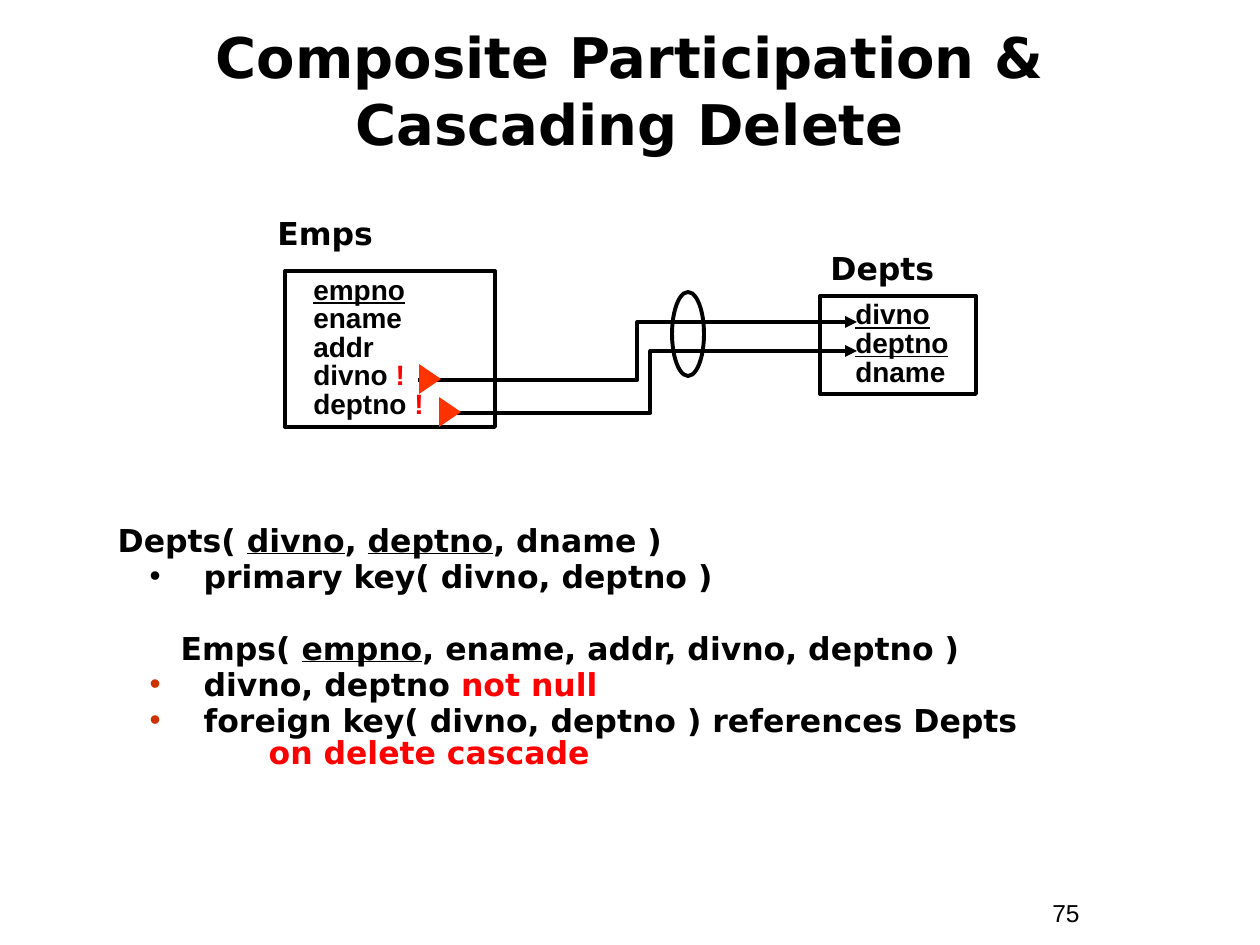
from copy import deepcopy

from lxml.etree import SubElement
from pptx import Presentation
from pptx.dml.color import RGBColor
from pptx.enum.shapes import MSO_CONNECTOR, MSO_SHAPE as SHAPE
from pptx.enum.text import MSO_ANCHOR as ANCHOR, MSO_AUTO_SIZE, PP_ALIGN as ALIGN
from pptx.oxml.ns import qn
from pptx.util import Pt

PX = 914400 / 126
BLACK = RGBColor(0, 0, 0)
RED = RGBColor(0xFF, 0, 0)
RUST = RGBColor(0xCC, 0x33, 0)
ORANGE = RGBColor(0xFF, 0x33, 0)
SANS, ARIAL = "DejaVu Sans", "Arial"

KEY = {"underline": True}
ALERT = {"color": RED}

TITLE = "Composite Participation &\vCascading Delete"
PAGE_NUMBER = "75"

# name, name box, table box, text indent, rows of (text, style) runs
TABLES = [
    ("Emps", (265, 208, 271, 50), (285, 271, 210, 156), 16,
     [[("empno", KEY)], [("ename", {})], [("addr", {})],
      [("divno ", {}), ("!", ALERT)], [("deptno ", {}), ("!", ALERT)]]),
    ("Depts", (818, 243, 166, 50), (820, 296, 156, 98), 23,
     [[("divno", KEY)], [("deptno", KEY)], [("dname", {})]]),
]

# foreign key start, end, corner of the triangle that marks the start
LINKS = [
    ((418, 380), (857, 322), (415, 368)),
    ((444, 413), (857, 351), (435, 401)),
]
TRIANGLE_SIZE = (30, 22)
GROUP_OVAL = (672, 292, 32, 84)

BULLET = {"margin": 86, "hang": 54}
# runs, paragraph layout
SCHEMA = [
    ([("Depts( ", {}), ("divno", KEY), (", ", {}), ("deptno", KEY),
      (", dname )", {})], {"before": 0}),
    ([("primary key( divno, deptno )", {})], {**BULLET, "bullet": BLACK}),
    ([("Emps( ", {}), ("empno", KEY),
      (", ename, addr, divno, deptno )", {})], {"margin": 63, "before": 23}),
    ([("divno, deptno ", {}), ("not null", ALERT)], {**BULLET, "bullet": RUST}),
    ([("foreign key( divno, deptno ) references Depts", {})],
     {**BULLET, "bullet": RUST}),
    ([("on delete cascade", ALERT)], {"margin": 151, "before": 0}),
]


def px(*lengths):
    return [round(length * PX) for length in lengths]


def place(shape, box):
    shape.left, shape.top, shape.width, shape.height = px(*box)


def style_font(font, name, size, bold=True, underline=False, color=BLACK):
    values = {"name": name, "size": Pt(size), "bold": bold, "underline": underline}
    for key, value in values.items():
        setattr(font, key, value)
    font.color.rgb = color


def set_frame(frame, anchor=ANCHOR.TOP):
    values = {"word_wrap": True, "auto_size": MSO_AUTO_SIZE.NONE,
              "vertical_anchor": anchor}
    for key, value in values.items():
        setattr(frame, key, value)


def lay_out(paragraph, margin=0, hang=0, before=2.2, bullet=None):
    """Set indents, spacing and the bullet, whose value is its colour."""
    properties = paragraph._p.get_or_add_pPr()
    properties.set("marL", str(px(margin)[0]))
    properties.set("indent", str(-px(hang)[0]))
    if bullet is None:
        SubElement(properties, qn("a:buNone"))
    else:
        color = SubElement(properties, qn("a:buClr"))
        SubElement(color, qn("a:srgbClr"), val=str(bullet))
        SubElement(properties, qn("a:buFont"), typeface=ARIAL)
        SubElement(properties, qn("a:buChar"), char="•")
    values = {"alignment": ALIGN.LEFT, "line_spacing": 0.85,
              "space_before": Pt(before), "space_after": Pt(0)}
    for key, value in values.items():
        setattr(paragraph, key, value)


def write(frame, rows, name, size):
    """Fill the frame with one paragraph for each (runs, layout) row."""
    set_frame(frame)
    for index, (runs, layout) in enumerate(rows):
        paragraph = frame.add_paragraph() if index else frame.paragraphs[0]
        lay_out(paragraph, **layout)
        for text, style in runs:
            run = paragraph.add_run()
            run.text = text
            style_font(run.font, name, size, **style)


def add_label(slide, text, box, name, size, bold=True):
    frame = slide.shapes.add_textbox(*px(*box)).text_frame
    set_frame(frame)
    frame.text = text
    style_font(frame.paragraphs[0].runs[0].font, name, size, bold)


def add_outline(slide, kind, box):
    shape = slide.shapes.add_shape(kind, *px(*box))
    shape.shadow.inherit = False
    shape.fill.background()
    shape.line.color.rgb = BLACK
    shape.line.width = Pt(2.25)
    return shape


def add_link(slide, start, end):
    connector = slide.shapes.add_connector(
        MSO_CONNECTOR.ELBOW, *px(*start, *end))
    connector.line.color.rgb = BLACK
    connector.line.width = Pt(2.25)
    SubElement(connector.line._get_or_add_ln(), qn("a:tailEnd"), type="triangle")
    SubElement(connector._element.spPr, qn("a:effectLst"))


def add_start_mark(slide, corner):
    mark = slide.shapes.add_shape(
        SHAPE.ISOSCELES_TRIANGLE, *px(*corner, *TRIANGLE_SIZE))
    mark.rotation = 90
    mark.shadow.inherit = False
    mark.fill.solid()
    mark.fill.fore_color.rgb = ORANGE
    mark.line.fill.background()


def fill_title(title):
    place(title, (21, 42, 1218, 95))
    frame = title.text_frame
    set_frame(frame, ANCHOR.MIDDLE)
    frame.text = TITLE
    paragraph = frame.paragraphs[0]
    paragraph.alignment = ALIGN.CENTER
    for run in paragraph.runs:
        style_font(run.font, SANS, 32)
    for line_break in paragraph._p.findall(qn("a:br")):
        line_break.append(deepcopy(paragraph.runs[0]._r.rPr))


def main():
    presentation = Presentation()
    presentation.slide_width, presentation.slide_height = px(1260, 945)
    slide = presentation.slides.add_slide(presentation.slide_layouts[1])

    fill_title(slide.shapes.title)
    body = slide.placeholders[1]
    place(body, (105, 520, 987, 294))
    write(body.text_frame, SCHEMA, SANS, 18)

    for name, name_box, table_box, indent, rows in TABLES:
        add_label(slide, name, name_box, SANS, 18)
        table = add_outline(slide, SHAPE.RECTANGLE, table_box)
        layout = {"margin": indent, "before": 0}
        write(table.text_frame, [(runs, layout) for runs in rows], ARIAL, 16)

    for start, end, _ in LINKS:
        add_link(slide, start, end)
    add_outline(slide, SHAPE.OVAL, GROUP_OVAL)
    for _, _, corner in LINKS:
        add_start_mark(slide, corner)

    add_label(slide, PAGE_NUMBER, (1040, 892, 116, 43), ARIAL, 14, bold=False)
    presentation.save("out.pptx")


if __name__ == "__main__":
    main()
